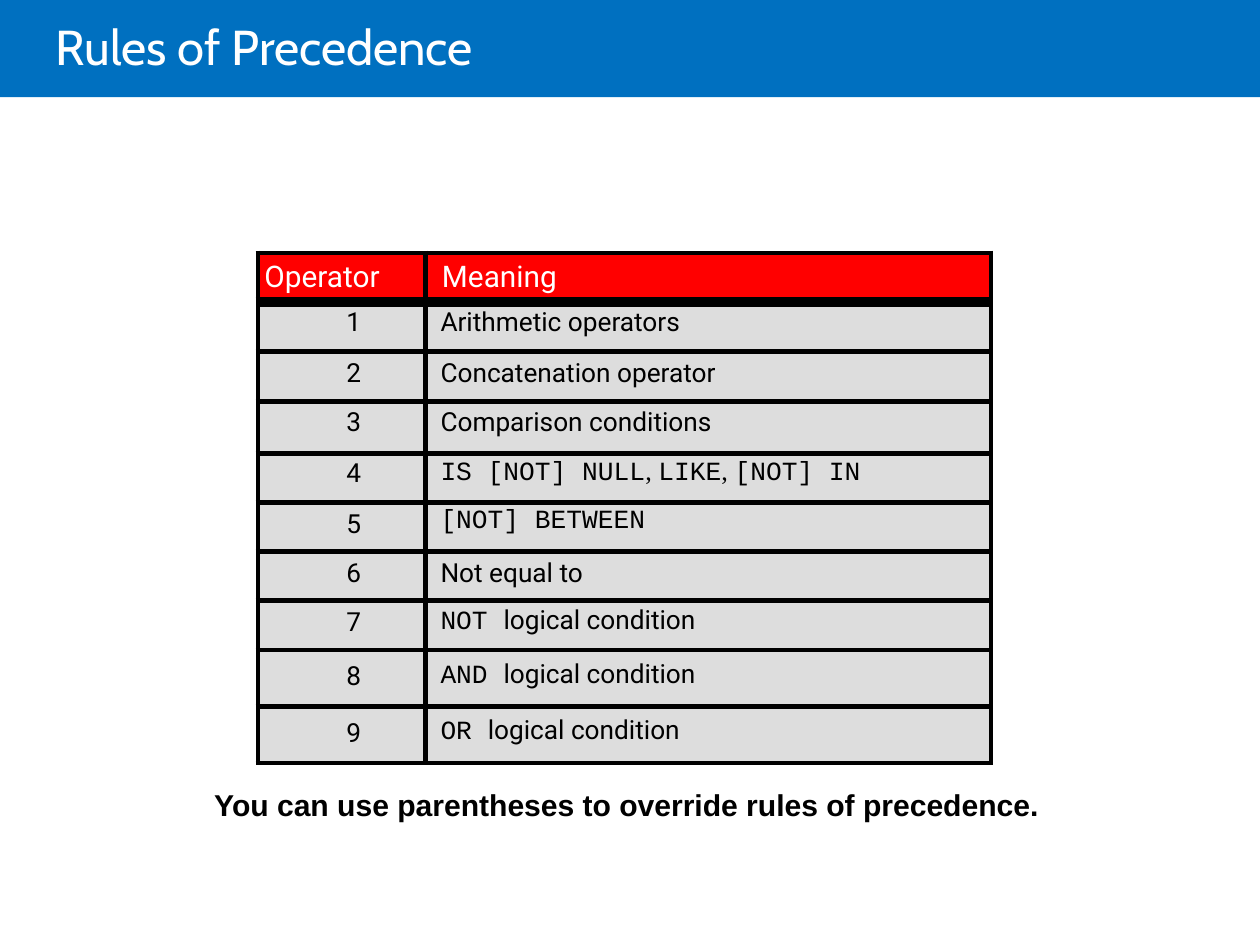
import lxml.etree
import pptx
import pptx.dml.color
import pptx.enum.shapes
import pptx.enum.text
import pptx.oxml.ns
import pptx.util

Cm = pptx.util.Cm
ALIGN = pptx.enum.text.PP_ALIGN
ANCHOR = pptx.enum.text.MSO_ANCHOR
ROBOTO, MONO, SERIF = "Roboto", "Courier New", "Times New Roman"

HEADER = (0.99, 0.13, 0.13, "Operator", [("Meaning", ROBOTO)])
LOGICAL = (" logical condition".lstrip(), ROBOTO)
RULES = [
    (0.99, 0.1, 0.1, "1", [("Arithmetic operators", ROBOTO)]),
    (1.02, 0.13, 0.13, "2", [("Concatenation operator", ROBOTO)]),
    (1.04, 0.1, 0.1, "3", [("Comparison conditions", ROBOTO)]),
    (0.99, 0.1, 0.08, "4", [("IS [NOT] NULL", MONO), (", ", SERIF), ("LIKE", MONO),
                            (", ", SERIF), ("[NOT] IN", MONO)]),
    (0.99, 0.13, 0.08, "5", [("[NOT] BETWEEN", MONO)]),
    (0.99, 0.13, 0.13, "6", [("Not equal to", ROBOTO)]),
    (0.99, 0.13, 0.08, "7", [("NOT ", MONO), LOGICAL]),
    (1.14, 0.23, 0.18, "8", [("AND ", MONO), LOGICAL]),
    (1.14, 0.23, 0.18, "9", [("OR ", MONO), LOGICAL]),
]


def color(value):
    """Turn a hex string into a colour."""
    return pptx.dml.color.RGBColor.from_string(value)


def apply(target, values):
    """Set each attribute in values on the target."""
    for name, value in values.items():
        setattr(target, name, value)


def fill(target, value):
    """Give a shape or cell a solid fill."""
    target.fill.solid()
    target.fill.fore_color.rgb = color(value)


def write(paragraph, runs, size, ink, align=ALIGN.LEFT, bold=False):
    """Write runs of (text, font name) into a paragraph."""
    paragraph.alignment = align
    for text, name in runs:
        run = paragraph.add_run()
        run.text = text
        apply(run.font, {"name": name, "size": pptx.util.Pt(size), "bold": bold})
        run.font.color.rgb = color(ink)


def place(shape, box, top_margin, anchor):
    """Move a text shape to its box and set its margins."""
    left, top, width, height = box
    apply(shape, {"left": Cm(left), "top": Cm(top), "width": Cm(width), "height": Cm(height)})
    apply(shape.text_frame, {
        "word_wrap": True, "vertical_anchor": anchor, "margin_left": Cm(0.03),
        "margin_top": Cm(top_margin), "margin_right": 0, "margin_bottom": 0})


def add_title_bar(slide, box, text):
    """Draw the bar and set the title on it."""
    left, top, width, height = box
    bar = slide.shapes.add_shape(
        pptx.enum.shapes.MSO_SHAPE.RECTANGLE, Cm(left), Cm(top), Cm(width), Cm(height))
    bar.shadow.inherit = False
    bar.line.fill.background()
    fill(bar, "0070C0")
    title = slide.shapes.title
    title.element.addprevious(bar.element)
    place(title, (left + 1.09, top + 0.3, 8.84, 1.22), 0.03, ANCHOR.MIDDLE)
    write(title.text_frame.paragraphs[0], [(text, "Cabin")], 28, "FFFFFF")


def set_borders(cell, widths):
    """Draw black borders on a cell, with widths in points by side."""
    properties = cell._tc.get_or_add_tcPr()
    for side, width in widths.items():
        line = lxml.etree.SubElement(
            properties, pptx.oxml.ns.qn(f"a:ln{side}"), w=str(pptx.util.Pt(width)))
        solid = lxml.etree.SubElement(line, pptx.oxml.ns.qn("a:solidFill"))
        lxml.etree.SubElement(solid, pptx.oxml.ns.qn("a:srgbClr"), val="000000")


def add_precedence_table(slide, box):
    """Add the table of operators in order of precedence."""
    rows = [HEADER, *RULES]
    table = slide.shapes.add_table(len(rows), 2, *map(Cm, box)).table
    table.horz_banding = False
    number_width = 3.38
    table.columns[0].width = Cm(number_width)
    table.columns[1].width = Cm(box[2] - number_width)
    for index, (height, number_top, meaning_top, number, meaning) in enumerate(rows):
        table.rows[index].height = Cm(height)
        header = index == 0
        contents = [
            ([(number, ROBOTO)], number_top, 0.13 if header else 0.48,
             ALIGN.LEFT if header else ALIGN.CENTER),
            (meaning, meaning_top, 0.33 if header else 0.3, ALIGN.LEFT),
        ]
        for column, (runs, top, left, align) in enumerate(contents):
            cell = table.cell(index, column)
            set_borders(cell, {"L": 3, "R": 3, "T": 6 if index == 1 else 3,
                               "B": 6 if header else 3})
            fill(cell, "FF0000" if header else "DDDDDD")
            apply(cell, {"margin_left": Cm(left), "margin_top": Cm(top),
                         "margin_right": 0, "margin_bottom": 0})
            write(cell.text_frame.paragraphs[0], runs, 17 if header else 15,
                  "FFFFFF" if header else "000000", align)


def add_note(slide, box, text):
    """Add the bold remark below the table."""
    note = slide.shapes.add_textbox(*map(Cm, box))
    place(note, box, 0.05, ANCHOR.TOP)
    write(note.text_frame.paragraphs[0], [(text, "Arial")], 17.2, "000000", bold=True)


def main():
    """Build and save the slide."""
    presentation = pptx.Presentation()
    apply(presentation, {"slide_width": Cm(25.4), "slide_height": Cm(19.05)})
    slide = presentation.slides.add_slide(presentation.slide_layouts.get_by_name("Title Only"))
    add_title_bar(slide, (0, 0, 25.4, 1.96), "Rules of Precedence")
    add_precedence_table(slide, (5.2, 5.1, 14.78, 10.21))
    add_note(slide, (4.29, 15.8, 17.02, 0.79),
             "You can use parentheses to override rules of precedence.")
    presentation.save("out.pptx")


if __name__ == "__main__":
    main()
